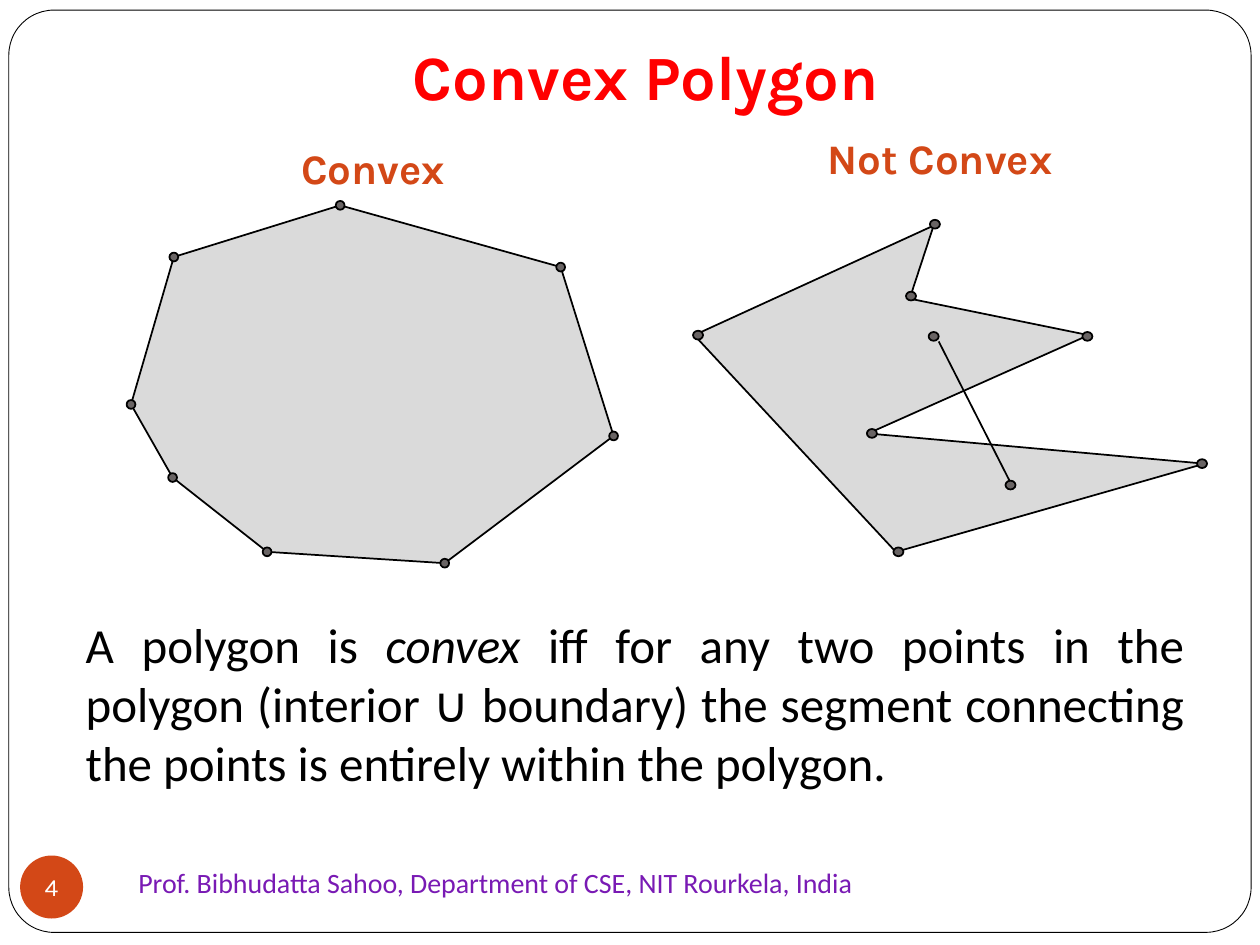
"""Build a slide that contrasts a convex and a non-convex polygon."""
from dataclasses import dataclass

from lxml import etree
from pptx import Presentation
from pptx.dml.color import RGBColor
from pptx.enum.shapes import MSO_CONNECTOR, MSO_SHAPE
from pptx.enum.text import MSO_ANCHOR, MSO_AUTO_SIZE, PP_ALIGN
from pptx.oxml.ns import qn
from pptx.util import Inches, Pt

OVAL, ROUNDED = MSO_SHAPE.OVAL, MSO_SHAPE.ROUNDED_RECTANGLE
STRAIGHT = MSO_CONNECTOR.STRAIGHT
TOP, MIDDLE, BOTTOM = MSO_ANCHOR.TOP, MSO_ANCHOR.MIDDLE, MSO_ANCHOR.BOTTOM
LEFT, CENTER, JUSTIFY = PP_ALIGN.LEFT, PP_ALIGN.CENTER, PP_ALIGN.JUSTIFY
NO_FIT = MSO_AUTO_SIZE.NONE


@dataclass(frozen=True)
class Theme:
    heading_font: str = "Karla"
    body_font: str = "Calibri"
    paper: str = "FFFFFF"
    ink: str = "000000"
    title: str = "FF0000"
    accent: str = "D34817"
    footer: str = "791AB4"
    polygon: str = "DADADA"
    dot: str = "696464"
    title_size: float = 36
    label_size: float = 24
    body_size: float = 28
    footer_size: float = 16
    number_size: float = 14
    frame_width: float = 0.5
    line_width: float = 1


theme = Theme()


def write(box, text, *, size, color, font=theme.body_font, bold=False, italic_word=None,
          align=LEFT, anchor=MIDDLE, before=0, insets=(0.1, 0.05, 0.1, 0.05), wrap=True):
    frame = box.text_frame
    frame.auto_size, frame.word_wrap, frame.vertical_anchor = NO_FIT, wrap, anchor
    (frame.margin_left, frame.margin_top,
     frame.margin_right, frame.margin_bottom) = map(Inches, insets)
    para = frame.paragraphs[0]
    para.alignment, para.space_before = align, Pt(before)
    pieces = text.partition(italic_word) if italic_word else [text]
    for piece in pieces:
        span = para.add_run()
        span.text = piece
        span.font.name, span.font.size = font, Pt(size)
        span.font.bold, span.font.italic = bold, piece == italic_word
        span.font.color.rgb = RGBColor.from_string(color)


def paint(shape, fill, line=None, width=theme.line_width):
    shape.shadow.inherit = False
    shape.fill.solid()
    shape.fill.fore_color.rgb = RGBColor.from_string(fill)
    if line:
        shape.line.color.rgb = RGBColor.from_string(line)
        shape.line.width = Pt(width)
    else:
        shape.line.fill.background()


deck = Presentation()
deck.slide_width, deck.slide_height = Inches(10), Inches(7.5)
page = deck.slides.add_slide(deck.slide_layouts[4])
title, convex_label, definition, concave_label, spare = page.placeholders
spare.element.getparent().remove(spare.element)

frame_box = page.shapes.add_shape(ROUNDED, Inches(0.07), Inches(0.08), Inches(9.86), Inches(7.32))
frame_box.adjustments[0] = 0.049
paint(frame_box, theme.paper, theme.ink, theme.frame_width)
page.shapes._spTree.insert(2, frame_box.element)

footer = page.shapes.add_textbox(0, 0, 0, 0)
places = [
    (title, 0.75, 0.3, 8.75, 0.7),
    (convex_label, 0.92, 1.08, 4.08, 0.5),
    (concave_label, 5.42, 1, 4.08, 0.5),
    (definition, 0.58, 4.83, 8.92, 1.82),
    (footer, 1, 6.75, 6.67, 0.5),
]
for box, *place in places:
    box.left, box.top, box.width, box.height = map(Inches, place)

write(title, "Convex Polygon", size=theme.title_size, color=theme.title, font=theme.heading_font,
      bold=True, align=CENTER, anchor=BOTTOM, insets=(0.1, 0.05, 0.1, 0.1))
for label, text in [(convex_label, "Convex"), (concave_label, "Not Convex")]:
    write(label, text, size=theme.label_size, color=theme.accent, font=theme.heading_font,
          bold=True, align=CENTER, anchor=BOTTOM, before=5.8)
write(definition, "A polygon is convex iff for any two points in the polygon (interior ∪ boundary) "
      "the segment connecting the points is entirely within the polygon.",
      size=theme.body_size, color=theme.ink, italic_word="convex", align=JUSTIFY, anchor=TOP)
properties = definition.text_frame.paragraphs[0]._p.get_or_add_pPr()
properties.set("marL", "0")
properties.set("indent", "0")
etree.SubElement(properties, qn("a:buNone"))
write(footer, "Prof. Bibhudatta Sahoo, Department of CSE, NIT Rourkela, India",
      size=theme.footer_size, color=theme.footer)

badge = page.shapes.add_shape(OVAL, Inches(0.16), Inches(6.79), Inches(0.5), Inches(0.5))
paint(badge, theme.accent)
write(badge, "4", size=theme.number_size, color=theme.paper, font=theme.heading_font,
      align=CENTER, insets=(0, 0, 0, 0), wrap=False)

convex_corners = [(2.12, 4.38), (3.53, 4.47), (4.87, 3.46), (4.45, 2.12),
                  (2.7, 1.63), (1.38, 2.04), (1.04, 3.21), (1.37, 3.79)]
concave_corners = [(7.41, 1.79), (5.51, 2.66), (7.11, 4.38), (9.56, 3.68),
                   (6.89, 3.44), (8.64, 2.66), (7.22, 2.37)]
concave_dots = [(7.42, 1.78), (5.54, 2.66), (7.13, 4.38), (9.54, 3.68),
                (6.92, 3.44), (8.63, 2.67), (7.23, 2.35)]
inner_dots = [(7.41, 2.67), (8.02, 3.85)]
segment = [(7.45, 2.71), (8.02, 3.83)]

figures = [
    (concave_corners, concave_dots + inner_dots, 0.08, segment),
    (convex_corners, convex_corners, 0.07, None),
]
for corners, dots, dot_width, chord in figures:
    group = page.shapes.add_group_shape()
    points = [(Inches(x), Inches(y)) for x, y in corners]
    builder = group.shapes.build_freeform(*points[0])
    builder.add_line_segments(points[1:], close=True)
    paint(builder.convert_to_shape(), theme.polygon, theme.ink)
    if chord:
        (x1, y1), (x2, y2) = chord
        link = group.shapes.add_connector(STRAIGHT, Inches(x1), Inches(y1), Inches(x2), Inches(y2))
        link.line.color.rgb = RGBColor.from_string(theme.ink)
        link.line.width = Pt(theme.line_width)
        etree.SubElement(link.element.spPr, qn("a:effectLst"))
    for x, y in dots:
        dot = group.shapes.add_shape(OVAL, Inches(x - dot_width / 2), Inches(y - 0.035),
                                     Inches(dot_width), Inches(0.07))
        paint(dot, theme.dot, theme.ink)

deck.save("out.pptx")
